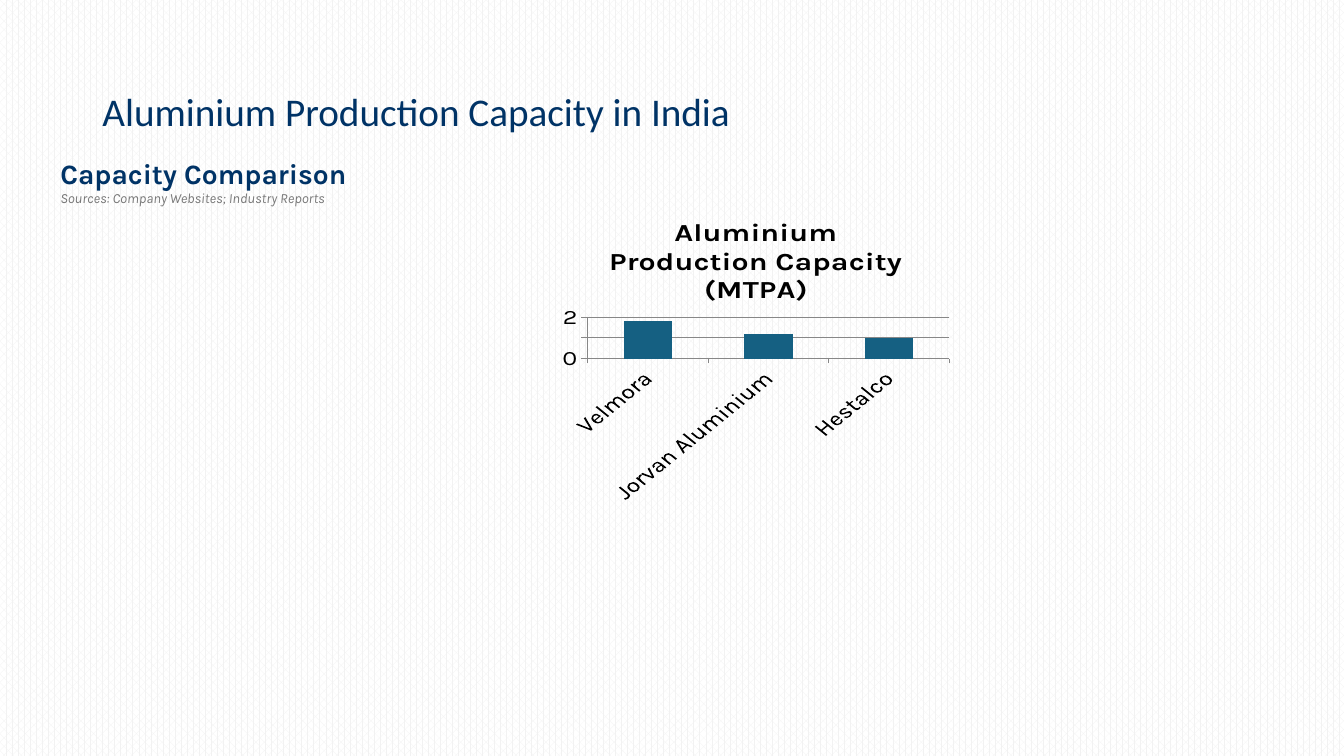
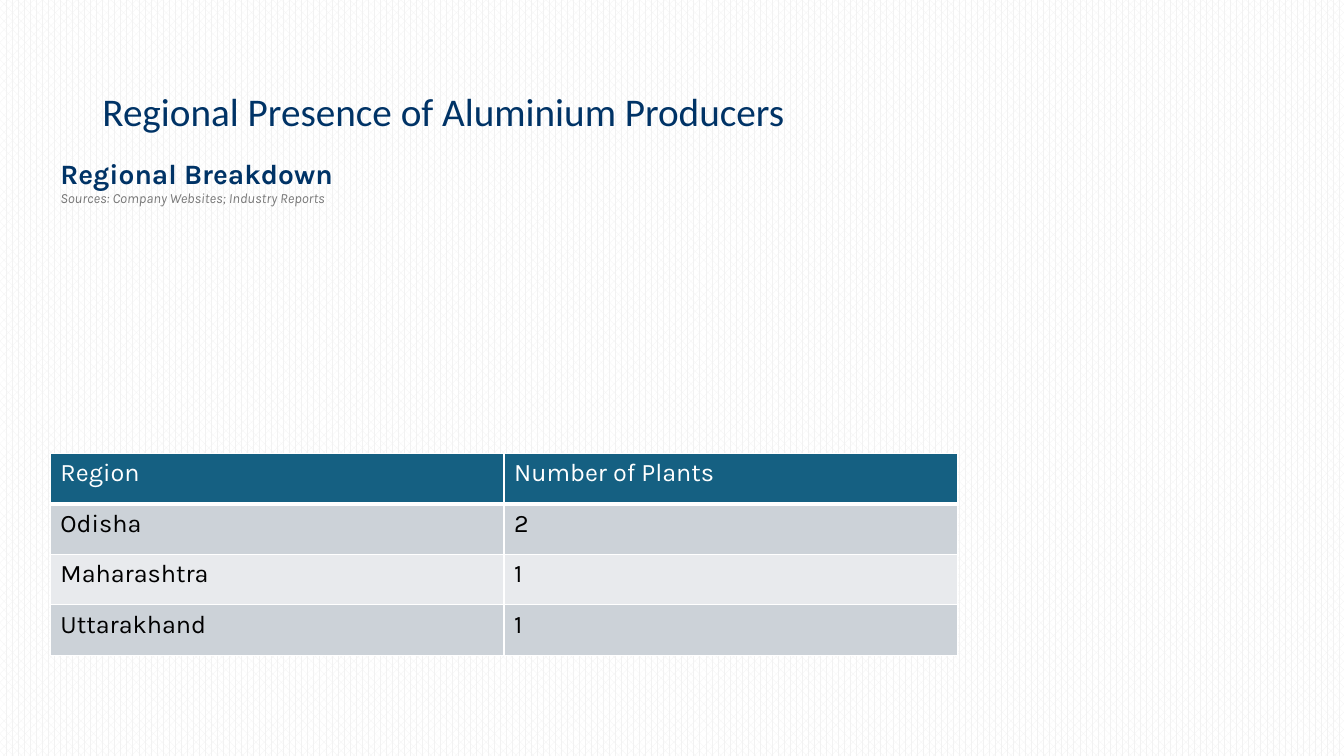
from dataclasses import dataclass

from lxml import etree
from pptx import Presentation
from pptx.chart.data import CategoryChartData
from pptx.dml.color import RGBColor
from pptx.enum.chart import XL_CHART_TYPE, XL_TICK_MARK
from pptx.enum.dml import MSO_PATTERN
from pptx.enum.text import MSO_ANCHOR, MSO_AUTO_SIZE, PP_ALIGN
from pptx.oxml.ns import qn
from pptx.presentation import Presentation as Deck
from pptx.slide import Slide
from pptx.table import _Cell as Cell
from pptx.text.text import _Paragraph as Paragraph
from pptx.util import Pt

COLUMNS = XL_CHART_TYPE.COLUMN_CLUSTERED
TICK_OUTSIDE = XL_TICK_MARK.OUTSIDE
DOTTED = MSO_PATTERN.PERCENT_60
MIDDLE = MSO_ANCHOR.MIDDLE
LEFT = PP_ALIGN.LEFT
NO_AUTOFIT, FIT_SHAPE = MSO_AUTO_SIZE.NONE, MSO_AUTO_SIZE.SHAPE_TO_FIT_TEXT

COLORS = {
    "navy": "003366",
    "teal": "156082",
    "grey": "787878",
    "dots": "F2F2F2",
    "band_dark": "CCD2D8",
    "band_light": "E8EAED",
    "white": "FFFFFF",
    "black": "000000",
}
TITLE_FONT, BODY_FONT = "Calibri", "Karla"
TITLE_ONLY = 5
SOURCES = "Sources: Company Websites; Industry Reports"


@dataclass(frozen=True)
class Box:
    """Place and size in points."""
    left: float
    top: float
    width: float
    height: float

    def lengths(self) -> tuple[Pt, Pt, Pt, Pt]:
        return Pt(self.left), Pt(self.top), Pt(self.width), Pt(self.height)


@dataclass(frozen=True)
class PageText:
    title: str
    heading: str


SLIDE_WIDTH, SLIDE_HEIGHT = 960, 540
TITLE_BOX = Box(66, 28.75, 828, 104.4)
HEADING_BOX = Box(36, 108, 648, 324)
CHART_BOX = Box(396, 144, 288, 216)
TABLE_BOX = Box(36, 324, 648, 144)

CAPACITY_PAGE = PageText("Aluminium Production Capacity in India", "Capacity Comparison")
REGION_PAGE = PageText("Regional Presence of Aluminium Producers", "Regional Breakdown")

CAPACITY_SERIES = "Aluminium Production Capacity (MTPA)"
CAPACITIES = {"Velmora": 1.8, "Jorvan Aluminium": 1.2, "Hestalco": 1}
REGION_ROWS = [
    ("Region", "Number of Plants"),
    ("Odisha", "2"),
    ("Maharashtra", "1"),
    ("Uttarakhand", "1"),
]


def color(name: str) -> RGBColor:
    return RGBColor.from_string(COLORS[name])


def write(para: Paragraph, text: str, *, size: float, ink: str, font: str = BODY_FONT,
          bold: bool = False, italic: bool = False) -> None:
    span = para.add_run()
    span.text = text
    span.font.name = font
    span.font.size = Pt(size)
    span.font.bold = bold
    span.font.italic = italic
    span.font.color.rgb = color(ink)


def add_page(deck: Deck, content: PageText) -> Slide:
    """Add a slide with the shared background, title, heading and source line."""
    page = deck.slides.add_slide(deck.slide_layouts[TITLE_ONLY])
    backdrop = page.background.fill
    backdrop.patterned()
    backdrop.pattern = DOTTED
    backdrop.fore_color.rgb = color("dots")
    backdrop.back_color.rgb = color("white")

    title = page.shapes.title
    title.left, title.top, title.width, title.height = TITLE_BOX.lengths()
    frame = title.text_frame
    frame.auto_size = NO_AUTOFIT
    frame.vertical_anchor = MIDDLE
    para = frame.paragraphs[0]
    para.alignment = LEFT
    para.line_spacing = 0.9
    write(para, content.title, size=28, ink="navy", font=TITLE_FONT)

    frame = page.shapes.add_textbox(*HEADING_BOX.lengths()).text_frame
    frame.word_wrap = False
    frame.auto_size = FIT_SHAPE
    write(frame.paragraphs[0], content.heading, size=20, ink="navy", bold=True)
    write(frame.add_paragraph(), SOURCES, size=10, ink="grey", italic=True)
    return page


def add_capacity_chart(page: Slide) -> None:
    """Add the column chart; its only series name serves as the chart title."""
    data = CategoryChartData()
    data.categories = list(CAPACITIES)
    data.add_series(CAPACITY_SERIES, list(CAPACITIES.values()))
    chart = page.shapes.add_chart(COLUMNS, *CHART_BOX.lengths(), data).chart
    chart.has_legend = False
    chart.font.name = BODY_FONT
    chart.font.size = Pt(18)
    chart.font.color.rgb = color("black")
    for axis in (chart.category_axis, chart.value_axis):
        axis.major_tick_mark = TICK_OUTSIDE
    chart.value_axis.has_major_gridlines = True

    plot = chart.plots[0]
    plot.vary_by_categories = False
    plot.gap_width = 150
    bars = plot.series[0].format.fill
    bars.solid()
    bars.fore_color.rgb = color("teal")


def set_borders(cell: Cell, bottom: float) -> None:
    """Draw white cell borders, 1 point wide except at the bottom."""
    properties = cell._tc.get_or_add_tcPr()
    for side, width in {"L": 1, "R": 1, "T": 1, "B": bottom}.items():
        line = etree.SubElement(properties, qn(f"a:ln{side}"), w=str(Pt(width)))
        fill = etree.SubElement(line, qn("a:solidFill"))
        etree.SubElement(fill, qn("a:srgbClr"), val=COLORS["white"])


def add_region_table(page: Slide) -> None:
    rows, columns = len(REGION_ROWS), len(REGION_ROWS[0])
    table = page.shapes.add_table(rows, columns, *TABLE_BOX.lengths()).table
    for row, texts in enumerate(REGION_ROWS):
        is_header = row == 0
        band = "teal" if is_header else ("band_light", "band_dark")[row % 2]
        for column, text in enumerate(texts):
            cell = table.cell(row, column)
            set_borders(cell, bottom=3 if is_header else 1)
            cell.fill.solid()
            cell.fill.fore_color.rgb = color(band)
            write(cell.text_frame.paragraphs[0], text, size=18,
                  ink="white" if is_header else "black")


def main() -> None:
    deck = Presentation()
    deck.slide_width, deck.slide_height = Pt(SLIDE_WIDTH), Pt(SLIDE_HEIGHT)
    add_capacity_chart(add_page(deck, CAPACITY_PAGE))
    add_region_table(add_page(deck, REGION_PAGE))
    deck.save("out.pptx")


if __name__ == "__main__":
    main()
